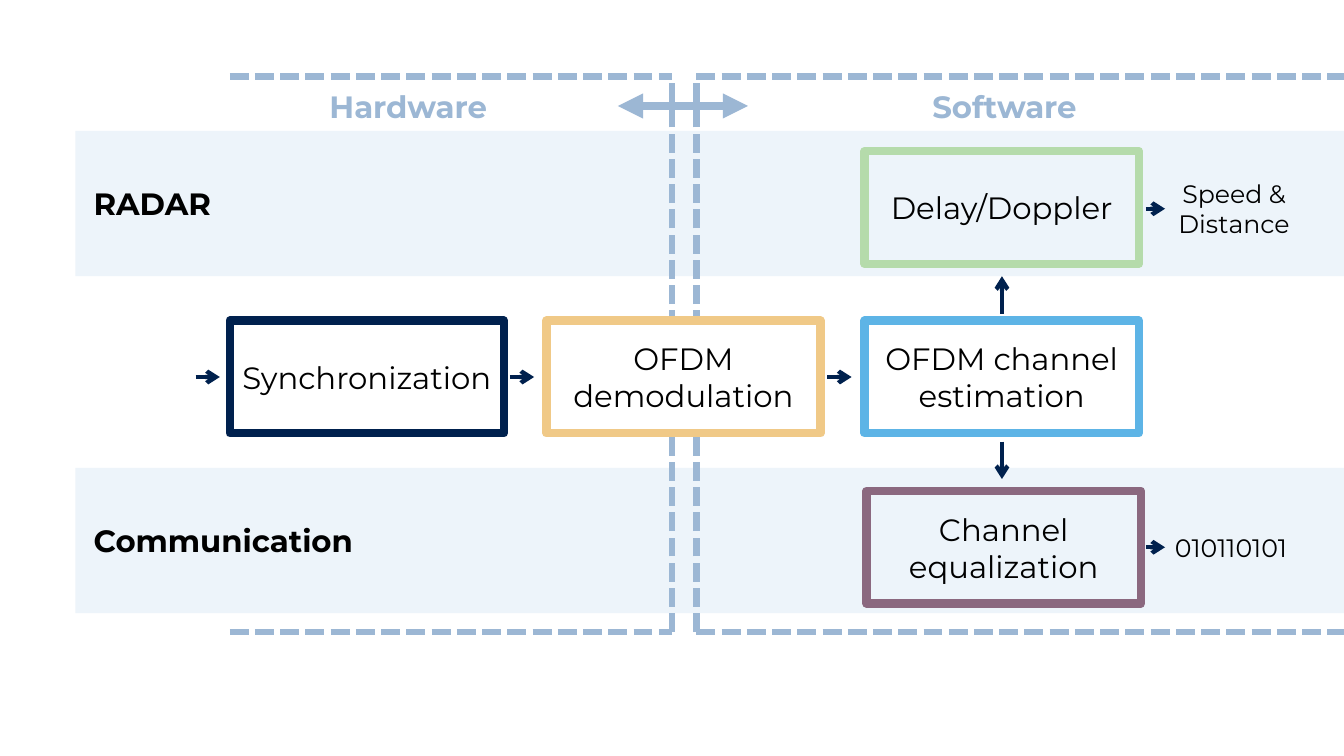
"""Build a slide with the block diagram of a joint OFDM radar and communication receiver."""
import dataclasses
import typing

import lxml.etree
import pptx
import pptx.dml.color
import pptx.enum.dml
import pptx.enum.shapes
import pptx.enum.text
import pptx.oxml.ns
import pptx.util

Cm = pptx.util.Cm
Align = pptx.enum.text.PP_ALIGN
Rect = pptx.enum.shapes.MSO_SHAPE.RECTANGLE


@dataclasses.dataclass(frozen=True)
class Theme:
    font: str = "Montserrat"
    ink: str = "000000"
    white: str = "FFFFFF"
    band: str = "EDF4FA"
    navy: str = "00214E"
    steel: str = "9CB7D4"
    gold: str = "F0C987"
    sky: str = "5DB4E6"
    green: str = "B5DBAB"
    plum: str = "8B687F"
    large: float = 22
    small: float = 18
    frame: float = 6
    dash: float = 4.5
    arrow: float = 3


THEME = Theme()


class Block(typing.NamedTuple):
    text: str
    left: float
    top: float
    edge: str
    fill: str | None = THEME.white


class Label(typing.NamedTuple):
    text: str
    left: float
    top: float
    width: float
    height: float
    style: dict
    align: Align = Align.CENTER


class Line(typing.NamedTuple):
    left: float
    top: float
    right: float
    base: float


WIDE, HIGH = 33.87, 19.05
BOX_W, BOX_H = 6.91, 2.84
COLS = (5.79, 13.77, 21.79)
ROWS = (3.81, 8.08, 12.37)
BAND_X, BAND_H, BAND_PAD = 1.9, 3.66, 0.46
TOP, BASE, STEM = 1.93, 15.93, 2.08
HARD, SOFT = 16.94, 17.55
FLOW_Y, FORK_X = 9.5, 25.25
OUT_X, OUT_END = 28.88, 29.36

PLAIN = {"size": pptx.util.Pt(THEME.large), "name": THEME.font, "bold": False}
BOLD = PLAIN | {"bold": True}
SMALL = PLAIN | {"size": pptx.util.Pt(THEME.small)}

BANDS = {"RADAR": 3.3, "Communication": 11.79}
BLOCKS = (
    Block("Synchronization", COLS[0], ROWS[1], THEME.navy),
    Block("OFDM demodulation", COLS[1], ROWS[1], THEME.gold),
    Block("OFDM channel estimation", COLS[2], ROWS[1], THEME.sky),
    Block("Delay/Doppler", COLS[2], ROWS[0], THEME.green, None),
    Block("Channel equalization", COLS[2] + 0.05, ROWS[2], THEME.plum, None),
)
HEADS = (
    Label("Hardware", 7.98, STEM, 4.62, 1.19, BOLD),
    Label("Software", 22.99, STEM, 4.65, 1.19, BOLD),
)
RESULTS = (
    Label("Speed & Distance", OUT_END, 4.37, 3.48, 1.78, SMALL),
    Label("010110101", OUT_END, 13.28, 3.45, 1.02, SMALL, Align.LEFT),
)
BORDERS = [Line(COLS[0], y, HARD, y) for y in (TOP, BASE)]
BORDERS += [Line(SOFT, y, WIDE, y) for y in (TOP, BASE)]
BORDERS += [Line(x, BASE, x, STEM) for x in (HARD, SOFT)]
ARROWS = [Line(x, FLOW_Y, x + 0.61, FLOW_Y) for x in (4.93, 12.85, 20.85)]
ARROWS += [Line(OUT_X, y, OUT_END, y) for y in (5.26, 13.79)]
ARROWS += [Line(FORK_X, 7.9, FORK_X, 6.96), Line(FORK_X, 11.13, FORK_X, 12.07)]
SPLIT = Line(15.57, 2.67, 18.85, 2.67)


def tint(code: str) -> pptx.dml.color.RGBColor:
    return pptx.dml.color.RGBColor.from_string(code)


def write(shape, text: str, style: dict, align: Align, color: str = THEME.ink) -> None:
    frame = shape.text_frame
    frame.word_wrap = True
    frame.vertical_anchor = pptx.enum.text.MSO_ANCHOR.MIDDLE
    line = frame.paragraphs[0]
    line.alignment = align
    run = line.add_run()
    run.text = text
    for key, value in style.items():
        setattr(run.font, key, value)
    run.font.color.rgb = tint(color)


def draw_rect(slide, left: float, top: float, width: float, height: float,
              fill: str | None, edge: str | None = None):
    shape = slide.shapes.add_shape(Rect, Cm(left), Cm(top), Cm(width), Cm(height))
    shape.shadow.inherit = False
    if fill:
        shape.fill.solid()
        shape.fill.fore_color.rgb = tint(fill)
    else:
        shape.fill.background()
    if edge:
        shape.line.color.rgb = tint(edge)
        shape.line.width = pptx.util.Pt(THEME.frame)
    else:
        shape.line.fill.background()
    return shape


def draw_band(slide, text: str, top: float) -> None:
    shape = draw_rect(slide, BAND_X, top, WIDE - BAND_X, BAND_H, THEME.band)
    shape.text_frame.margin_left = Cm(BAND_PAD)
    write(shape, text, BOLD, Align.LEFT)


def draw_block(slide, block: Block) -> None:
    shape = draw_rect(slide, block.left, block.top, BOX_W, BOX_H, block.fill, block.edge)
    write(shape, block.text, PLAIN, Align.CENTER)


def draw_label(slide, label: Label, color: str) -> None:
    box = slide.shapes.add_textbox(
        Cm(label.left), Cm(label.top), Cm(label.width), Cm(label.height))
    write(box, label.text, label.style, label.align, color)


def draw_line(slide, line: Line, color: str, width: float, dash: bool = False,
              ends: dict[str, str] | None = None) -> None:
    link = slide.shapes.add_connector(
        pptx.enum.shapes.MSO_CONNECTOR.STRAIGHT, *(Cm(value) for value in line))
    link.line.color.rgb = tint(color)
    link.line.width = pptx.util.Pt(width)
    if dash:
        link.line.dash_style = pptx.enum.dml.MSO_LINE.SQUARE_DOT
    stroke = link.line.fill and link.element.spPr.find(pptx.oxml.ns.qn("a:ln"))
    for end, kind in (ends or {}).items():
        lxml.etree.SubElement(stroke, pptx.oxml.ns.qn(f"a:{end}"), type=kind)
    lxml.etree.SubElement(link.element.spPr, pptx.oxml.ns.qn("a:effectLst"))


def main() -> None:
    deck = pptx.Presentation()
    deck.slide_width, deck.slide_height = Cm(WIDE), Cm(HIGH)
    slide = deck.slides.add_slide(deck.slide_layouts[6])
    for text, top in BANDS.items():
        draw_band(slide, text, top)
    for line in BORDERS:
        draw_line(slide, line, THEME.steel, THEME.dash, dash=True)
    for block in BLOCKS:
        draw_block(slide, block)
    for line in ARROWS:
        draw_line(slide, line, THEME.navy, THEME.arrow, ends={"tailEnd": "arrow"})
    draw_line(slide, SPLIT, THEME.steel, THEME.frame,
              ends={"headEnd": "triangle", "tailEnd": "triangle"})
    for label in HEADS:
        draw_label(slide, label, THEME.steel)
    for label in RESULTS:
        draw_label(slide, label, THEME.ink)
    deck.save("out.pptx")


if __name__ == "__main__":
    main()
